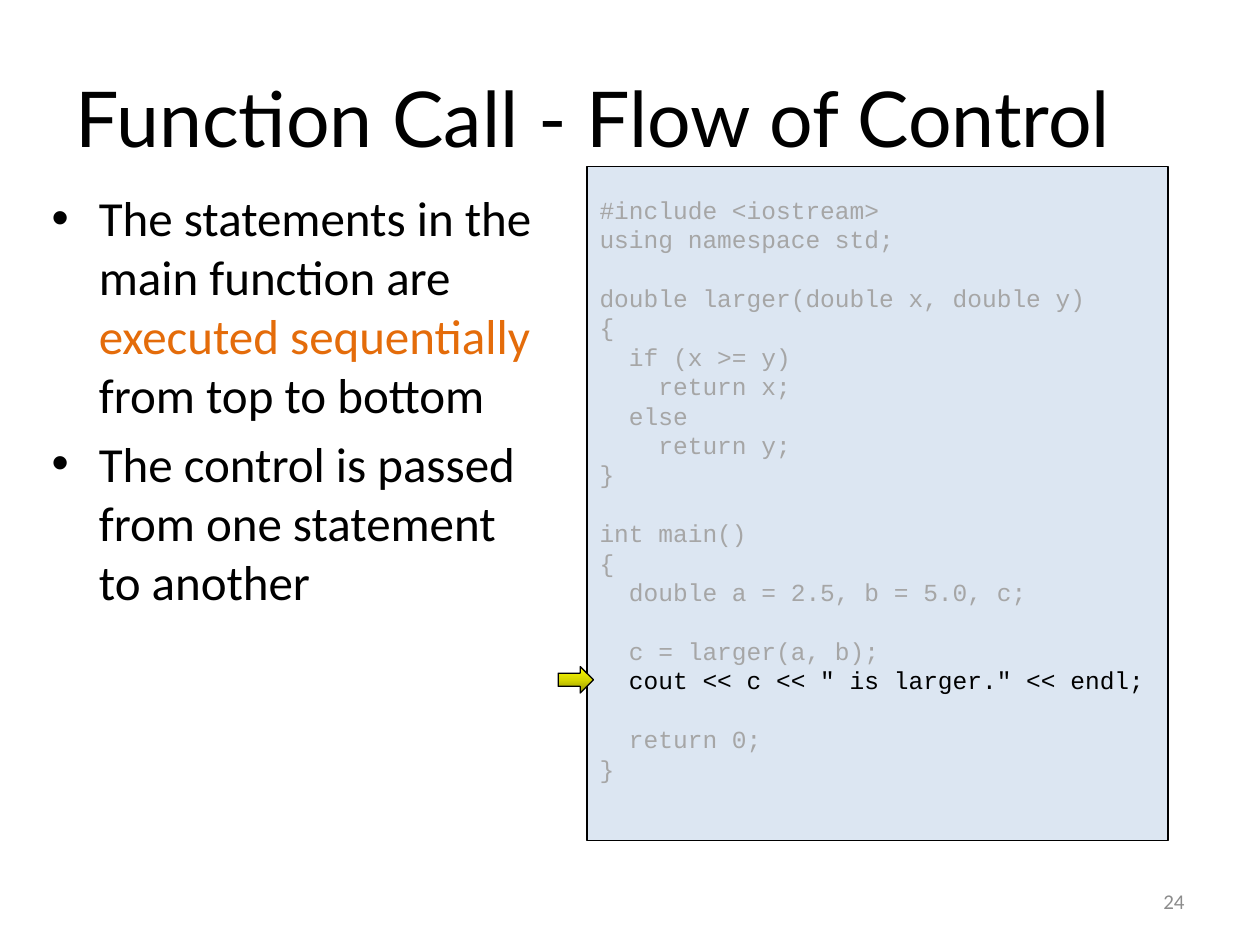
"""Build the slide on the flow of control in a function call."""
from copy import deepcopy
from dataclasses import dataclass

from pptx import Presentation
from pptx.dml.color import RGBColor
from pptx.enum import shapes, text
from pptx.util import Inches, Pt


@dataclass(frozen=True)
class Theme:
    """Colours, fonts and type sizes."""
    ink: str = "000000"
    accent: str = "E46C0A"
    muted: str = "A6A6A6"
    number: str = "8C8C8C"
    panel: str = "DCE6F2"
    arrow: tuple[str, ...] = ("979700", "D7D700", "FFFF00")
    title_font: str = "Lato"
    body_font: str = "Calibri"
    code_font: str = "Courier New"
    title_size: float = 44
    body_size: float = 28
    code_size: float = 14
    code_leading: float = 16.8
    number_size: float = 12
    line_width: float = 0.75


@dataclass(frozen=True)
class Box:
    """Position and size in inches."""
    left: float
    top: float
    width: float
    height: float

    def lengths(self) -> list[int]:
        """Return the four lengths in slide units."""
        return [Inches(v) for v in (self.left, self.top, self.width, self.height)]


THEME = Theme()
BULLETS = [
    [("The statements in the main function are ", THEME.ink),
     ("executed sequentially ", THEME.accent),
     ("from top to bottom", THEME.ink)],
    [("The control is passed from one statement to another", THEME.ink)],
]
CURRENT = 'cout << c << " is larger." << endl;'
CODE = f"""#include <iostream>
using namespace std;

double larger(double x, double y)
{{
  if (x >= y)
    return x;
  else
    return y;
}}

int main()
{{
  double a = 2.5, b = 5.0, c;

  c = larger(a, b);
  {CURRENT}

  return 0;
}}"""


def set_all(obj, values: dict) -> None:
    """Set each named attribute of an object."""
    for name, value in values.items():
        setattr(obj, name, value)


def place(sp, box: Box) -> None:
    """Move a shape to a box."""
    set_all(sp, dict(zip(("left", "top", "width", "height"), box.lengths())))


def add_run(p, words: str, font: str, size: float, colour: str) -> None:
    """Append a formatted run."""
    r = p.add_run()
    r.text = words
    set_all(r.font, {"name": font, "size": Pt(size)})
    r.font.color.rgb = RGBColor.from_string(colour)


def add_shape(s, kind: shapes.MSO_SHAPE, box: Box):
    """Add an outlined shape without a shadow."""
    sp = s.shapes.add_shape(kind, *box.lengths())
    sp.shadow.inherit = False
    sp.line.color.rgb = RGBColor.from_string(THEME.ink)
    sp.line.width = Pt(THEME.line_width)
    return sp


def add_title(s, words: str) -> None:
    """Fill the title placeholder."""
    sp = s.shapes.title
    place(sp, Box(0.5, 0.3, 9, 1.25))
    p = sp.text_frame.paragraphs[0]
    p.alignment = text.PP_ALIGN.LEFT
    add_run(p, words, THEME.title_font, THEME.title_size, THEME.ink)


def add_bullets(s) -> None:
    """Fill the body placeholder."""
    sp = s.placeholders[1]
    place(sp, Box(0.31, 1.44, 4.06, 5.37))
    tf = sp.text_frame
    tf.auto_size = text.MSO_AUTO_SIZE.NONE
    for i, parts in enumerate(BULLETS):
        p = tf.add_paragraph() if i else tf.paragraphs[0]
        p.space_before = Pt(6 if i else 0)
        for words, colour in parts:
            add_run(p, words, THEME.body_font, THEME.body_size, colour)


def add_code(s) -> None:
    """Draw the code panel with the current statement picked out."""
    sp = add_shape(s, shapes.MSO_SHAPE.RECTANGLE, Box(4.66, 1.32, 4.61, 5.35))
    sp.fill.solid()
    sp.fill.fore_color.rgb = RGBColor.from_string(THEME.panel)
    tf = sp.text_frame
    set_all(tf, {"word_wrap": True, "margin_bottom": Inches(0.28),
                 "vertical_anchor": text.MSO_ANCHOR.MIDDLE})
    p, gap = tf.paragraphs[0], 0
    for i, line in enumerate(CODE.splitlines()):
        if not line:
            gap = THEME.code_leading
            continue
        p = tf.add_paragraph() if i else p
        set_all(p, {"alignment": text.PP_ALIGN.LEFT, "space_before": Pt(gap),
                    "line_spacing": Pt(THEME.code_leading)})
        colour = THEME.ink if CURRENT in line else THEME.muted
        add_run(p, line, THEME.code_font, THEME.code_size, colour)
        gap = 0


def add_marker(s) -> None:
    """Draw the arrow that points at the current statement."""
    sp = add_shape(s, shapes.MSO_SHAPE.RIGHT_ARROW, Box(4.43, 5.29, 0.28, 0.21))
    sp.fill.gradient()
    sp.fill.gradient_angle = 90
    stops = sp.fill.gradient_stops
    first = sp.element.xpath(".//a:gs")[0]
    first.addnext(deepcopy(first))
    stops = sp.fill.gradient_stops
    for i, (stop, colour) in enumerate(zip(stops, THEME.arrow)):
        stop.position = i / 2
        stop.color.rgb = RGBColor.from_string(colour)


def add_number(s, words: str) -> None:
    """Write the slide number."""
    tf = s.shapes.add_textbox(*Box(7.17, 6.95, 2.33, 0.4).lengths()).text_frame
    set_all(tf, {"word_wrap": True, "vertical_anchor": text.MSO_ANCHOR.MIDDLE})
    p = tf.paragraphs[0]
    p.alignment = text.PP_ALIGN.RIGHT
    add_run(p, words, THEME.body_font, THEME.number_size, THEME.number)


def main() -> None:
    """Build and save the slide."""
    prs = Presentation()
    set_all(prs, {"slide_width": Inches(10), "slide_height": Inches(7.5)})
    s = prs.slides.add_slide(prs.slide_layouts[1])
    add_title(s, "Function Call - Flow of Control")
    add_bullets(s)
    add_code(s)
    add_marker(s)
    add_number(s, "24")
    prs.save("out.pptx")


if __name__ == "__main__":
    main()
